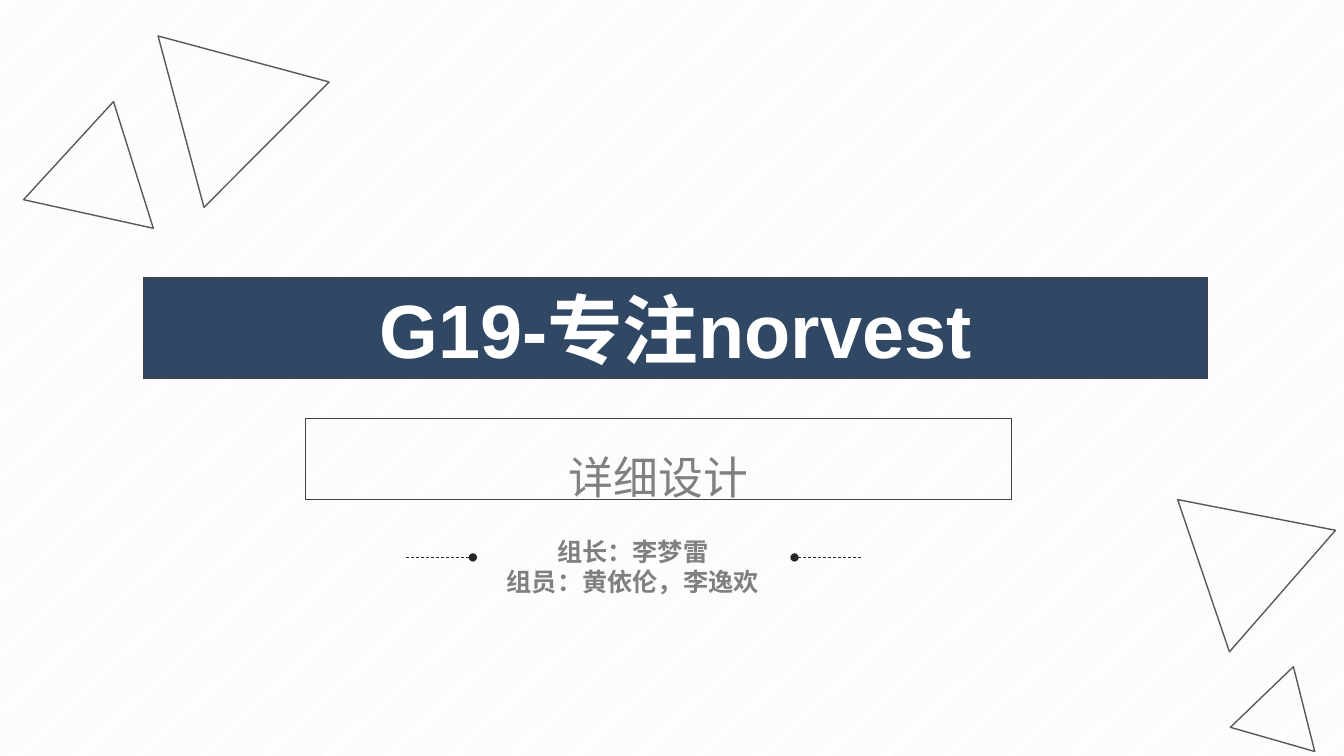
from lxml import etree
from pptx import Presentation
from pptx.dml.color import RGBColor
from pptx.enum.dml import MSO_LINE, MSO_PATTERN
from pptx.enum.shapes import MSO_CONNECTOR, MSO_SHAPE
from pptx.enum.text import MSO_ANCHOR, MSO_AUTO_SIZE, PP_ALIGN
from pptx.oxml.ns import qn
from pptx.util import Inches, Pt

# Content
TITLE = ["G19-专注norvest"]
SUBTITLE = ["详细设计"]
TEAM = ["组长：李梦雷", "组员：黄依伦，李逸欢"]

# Left, top, width, height in inches
TITLE_AREA = (1.42, 2.75, 10.56, 1.01)
SUBTITLE_AREA = (3.03, 4.15, 7, 0.81)
TEAM_AREA = (4.81, 5.32, 2.93, 0.61)

# Dotted end and plain end of each dashed line
DASH_Y = 5.53
DASHES = [(4.69, 4.02), (7.88, 8.55)]

# Left, top, width, height, rotation
TRIANGLES = [
    (1.65, 0.25, 1.76, 1.52, 75),
    (11.4, 4.72, 1.6, 1.38, 311.1),
    (12.29, 6.6, 0.87, 0.75, 16),
    (0.44, 1.31, 1.32, 1.14, 132.5),
]

FONT = "Arial"
WHITE = RGBColor(0xFF, 0xFF, 0xFF)
STRIPE = RGBColor(0xF2, 0xF2, 0xF2)
NAVY = RGBColor(0x31, 0x48, 0x65)
GRAY = RGBColor(0x80, 0x80, 0x80)
FRAME = RGBColor(0x40, 0x40, 0x40)
OUTLINE = RGBColor(0x59, 0x59, 0x59)
DASH = RGBColor(0x26, 0x26, 0x26)


def add_outlined(page, kind, area, color, weight, fill=None):
    shape = page.shapes.add_shape(kind, *map(Inches, area))
    shape.shadow.inherit = False
    if fill is None:
        shape.fill.background()
    else:
        shape.fill.solid()
        shape.fill.fore_color.rgb = fill
    shape.line.color.rgb = color
    shape.line.width = Pt(weight)
    return shape


def write(box, lines, size, color, bold=False, spacing=None, anchor=MSO_ANCHOR.TOP):
    frame = box.text_frame
    frame.word_wrap = True
    frame.auto_size = MSO_AUTO_SIZE.SHAPE_TO_FIT_TEXT
    frame.vertical_anchor = anchor
    frame.text = "\n".join(lines)
    for para in frame.paragraphs:
        para.alignment = PP_ALIGN.CENTER
        para.line_spacing = spacing
        para.font.name = FONT
        para.font.size = Pt(size)
        para.font.bold = bold
        para.font.color.rgb = color


def add_dash(page, start, end):
    dash = page.shapes.add_connector(
        MSO_CONNECTOR.STRAIGHT,
        Inches(start), Inches(DASH_Y), Inches(end), Inches(DASH_Y))
    dash.line.color.rgb = DASH
    dash.line.width = Pt(0.5)
    dash.line.dash_style = MSO_LINE.DASH
    etree.SubElement(dash.line._get_or_add_ln(), qn("a:headEnd"), type="oval")
    etree.SubElement(dash._element.spPr, qn("a:effectLst"))


def main():
    deck = Presentation()
    deck.slide_width, deck.slide_height = Inches(13.33), Inches(7.5)
    page = deck.slides.add_slide(deck.slide_layouts[6])

    # Striped background
    backdrop = page.background.fill
    backdrop.patterned()
    backdrop.pattern = MSO_PATTERN.DARK_UPWARD_DIAGONAL
    backdrop.fore_color.rgb = STRIPE
    backdrop.back_color.rgb = WHITE

    # Title and subtitle
    banner = add_outlined(page, MSO_SHAPE.RECTANGLE, TITLE_AREA, FRAME, 0.75, NAVY)
    write(banner, TITLE, 54, WHITE, bold=True, anchor=MSO_ANCHOR.MIDDLE)
    subtitle = add_outlined(page, MSO_SHAPE.RECTANGLE, SUBTITLE_AREA, FRAME, 0.75)
    write(subtitle, SUBTITLE, 32, GRAY, spacing=1.5)

    # Team names between dashed lines
    team = page.shapes.add_textbox(*map(Inches, TEAM_AREA))
    frame = team.text_frame
    frame.margin_left = frame.margin_right = frame.margin_top = frame.margin_bottom = 0
    write(team, TEAM, 18, GRAY, bold=True)
    for start, end in DASHES:
        add_dash(page, start, end)

    # Corner triangles
    for *area, angle in TRIANGLES:
        triangle = add_outlined(page, MSO_SHAPE.ISOSCELES_TRIANGLE, area, OUTLINE, 1)
        triangle.rotation = angle

    deck.save("out.pptx")


if __name__ == "__main__":
    main()
